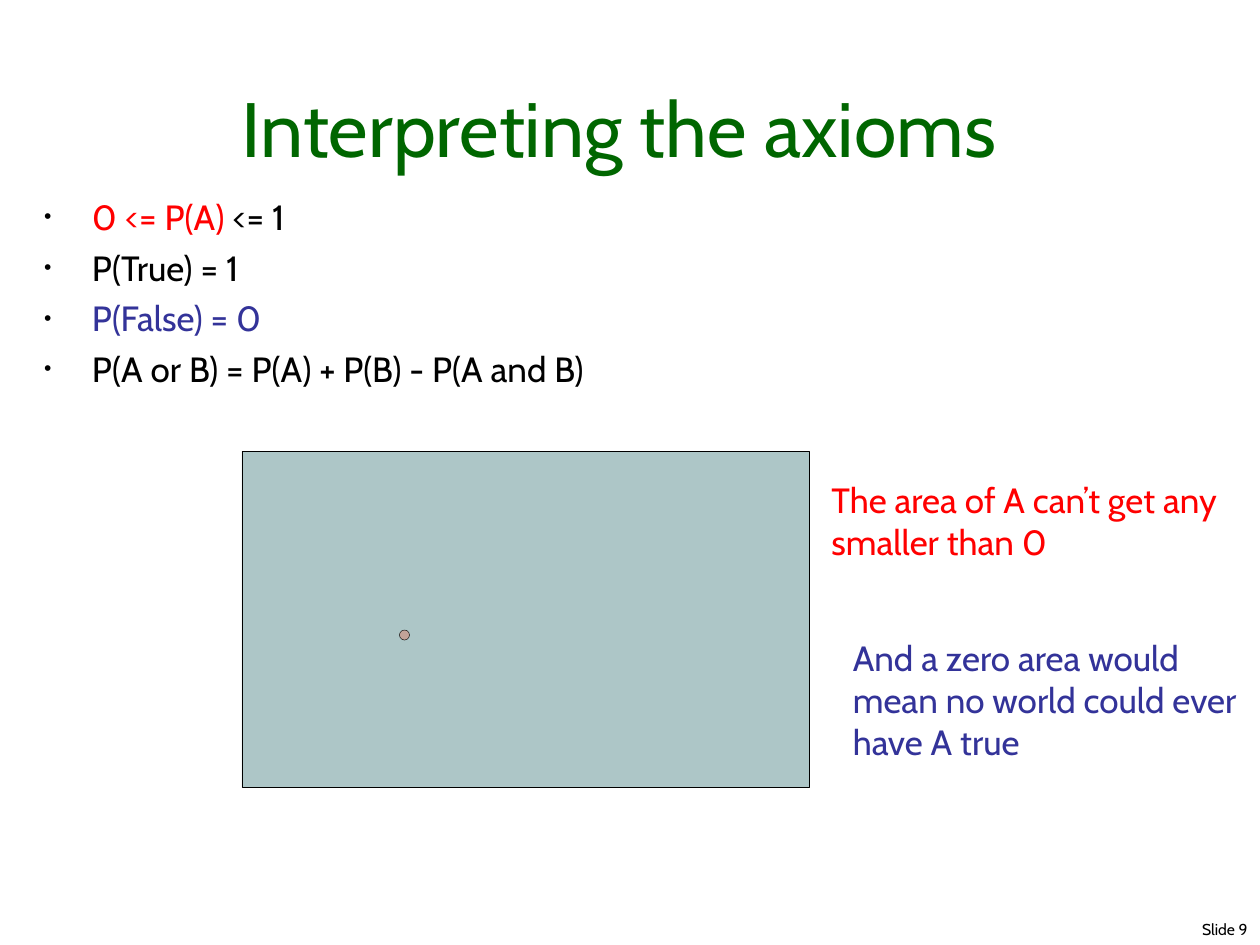
from lxml.etree import SubElement
from pptx import Presentation
from pptx.dml.color import RGBColor
from pptx.enum.shapes import MSO_SHAPE
from pptx.enum.text import MSO_ANCHOR, MSO_AUTO_SIZE, PP_ALIGN
from pptx.oxml.ns import qn
from pptx.util import Inches, Pt

FONT = "Cabin"
COLORS = {
    "title": "006600", "text": "000000", "smaller": "FF0000", "zero": "333399",
    "worlds": "ADC6C7", "event": "C2A398", "outline": "000000",
}

TITLE = "Interpreting the axioms"
AXIOMS = [
    [("0 <= P(A) ", "smaller"), ("<= 1", "text")],
    [("P(True) = 1", "text")],
    [("P(False) = 0", "zero")],
    [("P(A or B) = P(A) + P(B) - P(A and B)", "text")],
]
# text, colour, place (left, top, width, height in inches)
NOTES = [
    ("The area of A can’t get any smaller than 0", "smaller", (6.5, 3.75, 3.33, 0.77)),
    ("And a zero area would mean no world could ever have A true", "zero", (6.67, 5, 3.33, 1.1)),
]
# preset, fill, place
DIAGRAM = [
    (MSO_SHAPE.RECTANGLE, "worlds", (1.92, 3.58, 4.5, 2.67)),
    (MSO_SHAPE.OVAL, "event", (3.17, 5, 0.08, 0.08)),
]


def color(name):
    return RGBColor.from_string(COLORS[name])


def inches(place):
    return [Inches(length) for length in place]


def add_bullet(paragraph, indent=0.38, percent=60):
    properties = paragraph._p.get_or_add_pPr()
    properties.set("marL", str(Inches(indent)))
    properties.set("indent", str(-Inches(indent)))
    bullet_color = SubElement(properties, qn("a:buClr"))
    SubElement(bullet_color, qn("a:srgbClr"), val=COLORS["text"])
    SubElement(properties, qn("a:buSzPct"), val=str(percent * 1000))
    SubElement(properties, qn("a:buChar"), char="•")


def write(shape, paragraphs, size=20, align=PP_ALIGN.LEFT, anchor=MSO_ANCHOR.TOP,
          space_before=0, bullets=False):
    """Fill a shape with paragraphs, each a list of (text, colour name) runs."""
    frame = shape.text_frame
    frame.word_wrap = True
    frame.auto_size = MSO_AUTO_SIZE.NONE
    frame.vertical_anchor = anchor
    for index, runs in enumerate(paragraphs):
        paragraph = frame.add_paragraph() if index else frame.paragraphs[0]
        if bullets:
            add_bullet(paragraph)
        paragraph.alignment = align
        paragraph.space_before = Pt(space_before if index else 0)
        for text, color_name in runs:
            run = paragraph.add_run()
            run.text = text
            run.font.name = FONT
            run.font.size = Pt(size)
            run.font.color.rgb = color(color_name)


def move(shape, place):
    shape.left, shape.top, shape.width, shape.height = inches(place)


def main():
    presentation = Presentation()
    presentation.slide_width, presentation.slide_height = inches((10, 7.5))
    slide = presentation.slides.add_slide(presentation.slide_layouts[1])
    title, body = slide.placeholders

    move(title, (0.25, 0.25, 9.33, 1.17))
    write(title, [[(TITLE, "title")]], size=44, align=PP_ALIGN.CENTER,
          anchor=MSO_ANCHOR.BOTTOM)
    move(body, (0.25, 1.5, 5.42, 1.75))
    write(body, AXIOMS, space_before=5, bullets=True)

    for preset, fill, place in DIAGRAM:
        shape = slide.shapes.add_shape(preset, *inches(place))
        shape.shadow.inherit = False
        shape.fill.solid()
        shape.fill.fore_color.rgb = color(fill)
        shape.line.color.rgb = color("outline")
        shape.line.width = Pt(0.25)

    for text, color_name, place in NOTES:
        write(slide.shapes.add_textbox(*inches(place)), [[(text, color_name)]])

    slide_number = slide.shapes.add_textbox(*inches((6.08, 7.25, 3.92, 0.27)))
    write(slide_number, [[("Slide 9", "text")]], size=9, align=PP_ALIGN.RIGHT)

    presentation.save("out.pptx")


if __name__ == "__main__":
    main()
